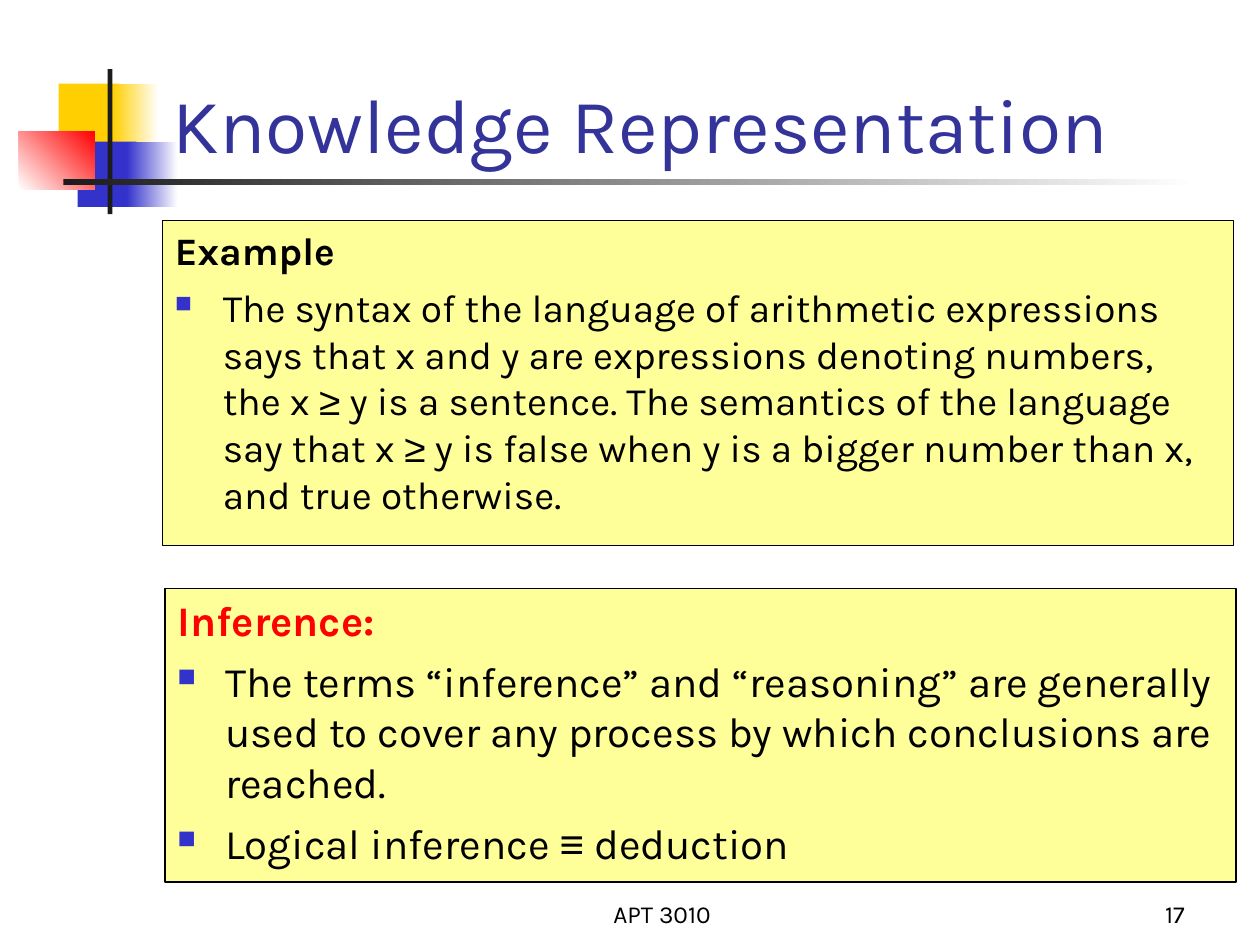
from pptx import Presentation
from pptx.dml.color import RGBColor
from pptx.enum.shapes import MSO_SHAPE
from pptx.enum.text import MSO_ANCHOR, PP_ALIGN
from pptx.oxml import parse_xml
from pptx.oxml.ns import nsdecls
from pptx.util import Inches, Pt

WIDE, HIGH = Inches(10), Inches(7.5)
FONT = "Karla"
INK, NAVY, BLUE, RED = "000000", "333399", "3333CC", "FF0000"
GOLD, DARK, CREAM, WHITE = "FFCF01", "1C1C1C", "FFFF99", "FFFFFF"


def tint(text):
    return RGBColor.from_string(text)


def share(box, part):
    left, top, wide, high = box
    x, y, w, h = part
    return (int(left + x * wide), int(top + y * high),
            int(w * wide), int(h * high))


def block(slide, box, first, last=None, angle=0):
    shape = slide.shapes.add_shape(MSO_SHAPE.RECTANGLE, *box)
    shape.shadow.inherit = False
    shape.line.fill.background()
    if last is None:
        shape.fill.solid()
        shape.fill.fore_color.rgb = tint(first)
    else:
        shape.fill.gradient()
        shape.fill.gradient_angle = angle
        for stop, hue, place in zip(shape.fill.gradient_stops, (first, last), (0, 1)):
            stop.color.rgb = tint(hue)
            stop.position = place
    return shape


def style(para, size, hue, bold=False):
    para.font.name = FONT
    para.font.size = Pt(size)
    para.font.bold = bold
    para.font.color.rgb = tint(hue)


def badge(slide, box):
    parts = [
        ((0.25, 0.10, 0.38, 0.45), GOLD),
        ((0.59, 0.10, 0.29, 0.45), GOLD, WHITE),
        ((0.37, 0.50, 0.37, 0.45), BLUE),
        ((0.68, 0.50, 0.32, 0.45), BLUE, WHITE),
        ((0, 0.43, 0.48, 0.40), WHITE, RED, 45),
        ((0.56, 0, 0.03, 1), DARK),
        ((0.28, 0.76, 7.14, 0.04), DARK, WHITE),
    ]
    for part, *hues in parts:
        block(slide, share(box, part), *hues)


def label(slide, box, text, size, hue, align):
    frame = slide.shapes.add_textbox(*box).text_frame
    frame.word_wrap = True
    frame.vertical_anchor = MSO_ANCHOR.BOTTOM
    para = frame.paragraphs[0]
    para.text = text
    para.alignment = align
    style(para, size, hue)


def bullet(para):
    props = para._p.get_or_add_pPr()
    props.set("marL", str(Inches(0.38)))
    props.set("indent", str(-Inches(0.38)))
    for tag in (f'<a:buClr {nsdecls("a")}><a:srgbClr val="{BLUE}"/></a:buClr>',
                f'<a:buSzPct {nsdecls("a")} val="60000"/>',
                f'<a:buChar {nsdecls("a")} char="■"/>'):
        props.append(parse_xml(tag))


def panel(slide, box, size, head, hue, items):
    shape = block(slide, box, CREAM)
    shape.line.color.rgb = tint(INK)
    shape.line.width = Pt(0.75)
    frame = shape.text_frame
    frame.word_wrap = True
    frame.vertical_anchor = MSO_ANCHOR.TOP
    para = frame.paragraphs[0]
    para.text = head
    style(para, size, hue, True)
    for runs in items:
        para = frame.add_paragraph()
        style(para, size, INK)
        bullet(para)
        for text in runs:
            run = para.add_run()
            run.text = text
            if text in "≥≡":
                run.font.name = "Arial"
    for para in frame.paragraphs:
        para.alignment = PP_ALIGN.LEFT
        para.space_before = Pt(6)


def main():
    deck = Presentation()
    deck.slide_width, deck.slide_height = WIDE, HIGH
    slide = deck.slides.add_slide(deck.slide_layouts[6])
    page = (0, 0, WIDE, HIGH)

    def area(*part):
        return share(page, [n / 100 for n in part])

    badge(slide, area(1.5, 7.33, 12.6, 15.33))
    label(slide, area(36.7, 92.2, 31.7, 6.67), "APT 3010", 14, INK, PP_ALIGN.CENTER)
    label(slide, area(74.2, 92.2, 20.8, 6.67), "17", 14, INK, PP_ALIGN.RIGHT)
    label(slide, area(12.7, 1.87, 85.2, 16.67), "Knowledge Representation",
          44, NAVY, PP_ALIGN.LEFT)
    panel(slide, area(12.9, 23.33, 85, 34.4), 22.2, "Example", INK, [
        ["The syntax of the language of arithmetic expressions says that x and y "
         "are expressions denoting numbers, the x ", "≥",
         " y is a sentence. The semantics of the language say that x ", "≥",
         " y is false when y is a bigger number than x, and true otherwise."],
    ])
    panel(slide, area(13.1, 62.27, 85, 31.07), 24, "Inference:", RED, [
        ["The terms “inference” and “reasoning” are generally used to cover "
         "any process by which conclusions are reached."],
        ["Logical inference ", "≡", " deduction"],
    ])
    deck.save("out.pptx")


if __name__ == "__main__":
    main()
